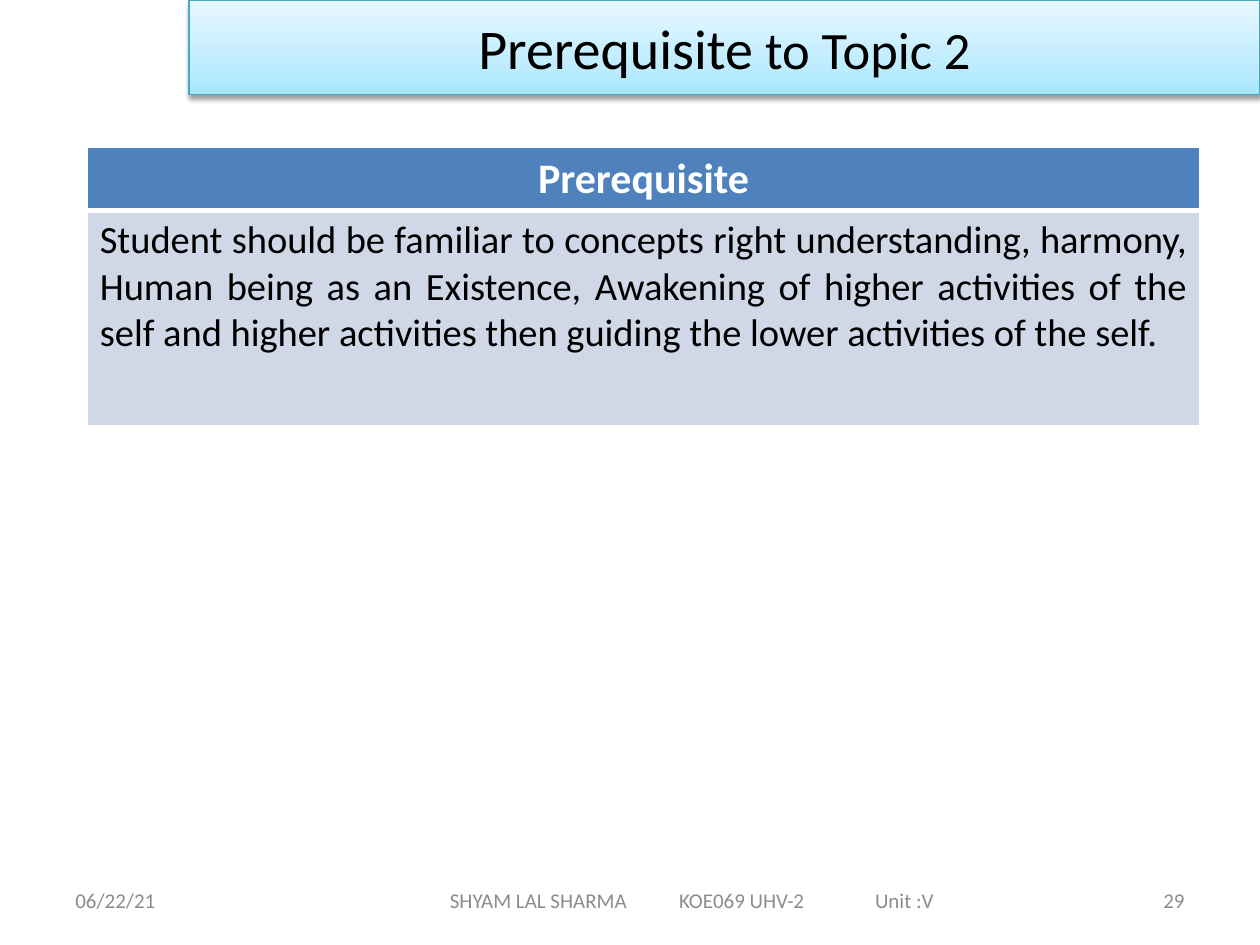
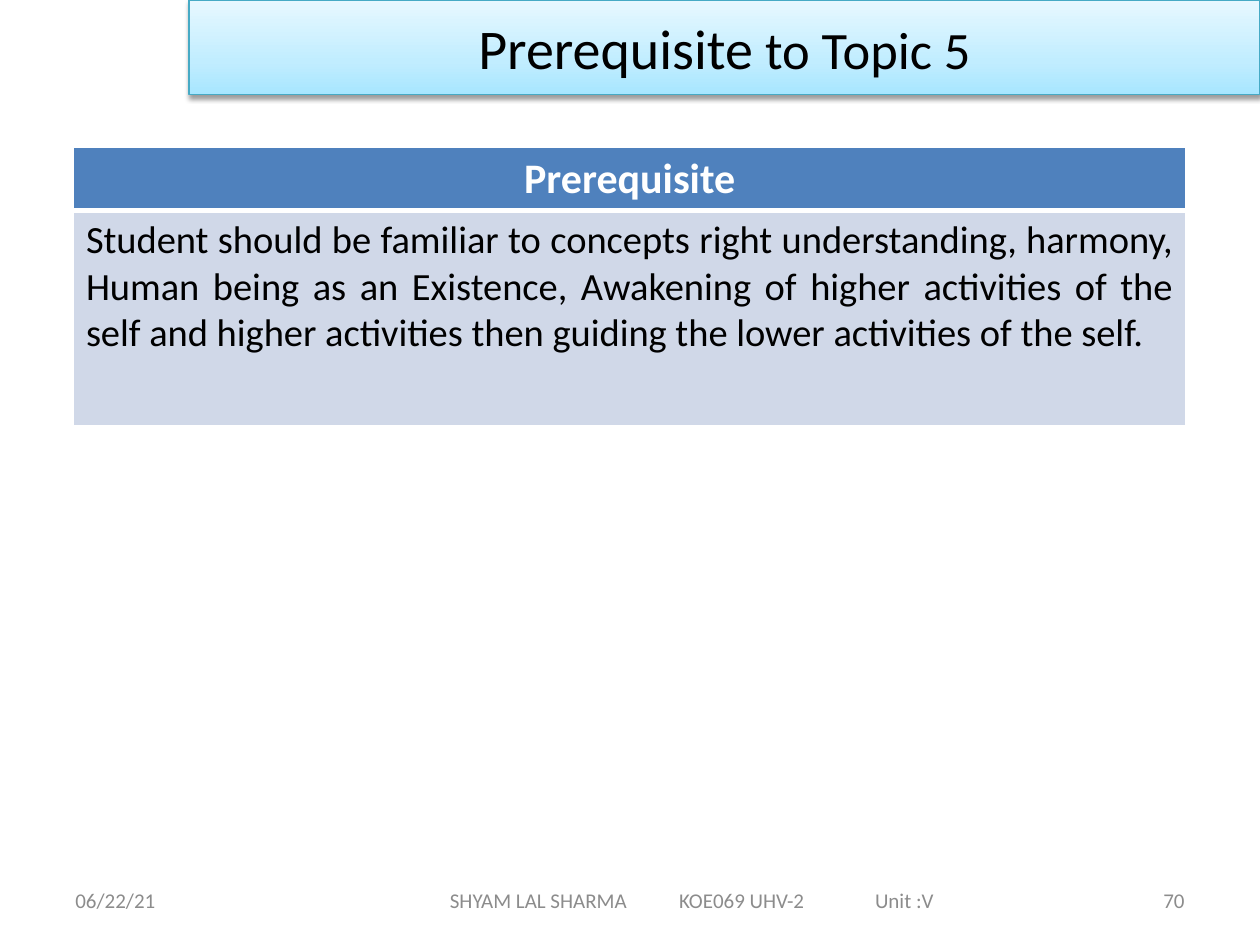
from copy import deepcopy

from pptx import Presentation
from pptx.dml.color import RGBColor
from pptx.enum.text import MSO_ANCHOR as ANCHOR, MSO_AUTO_SIZE as AUTO, PP_ALIGN as ALIGN
from pptx.oxml import parse_xml
from pptx.oxml.ns import nsdecls, qn
from pptx.util import Cm, Pt

# Shared style
FONT = "Calibri"
BLACK, WHITE, GREY = "000000", "FFFFFF", "8C8C8C"
HEADER_FILL, BODY_FILL = "4F81BD", "D0D8E8"
BAND_LINE = "46AAC5"
BAND_STOPS = [(0, "A7E6FF"), (0.35, "C1EDFF"), (1, "E7F8FF")]

# Shared wording
DATE = "06/22/21"
FOOTER = "SHYAM LAL SHARMA\tKOE069 UHV-2\tUnit :V"
FOOTER_TABS = (4.62, 8.57)
REQUIREMENT = (
    "Student should be familiar to concepts right understanding, harmony, "
    "Human being as an Existence, Awakening of higher activities of the self "
    "and higher activities then guiding the lower activities of the self."
)

# Topic number, page number, left edge of the table in cm
TOPICS = [(2, 29, 1.76), (5, 70, 1.48)]


def rgb(value):
    return RGBColor.from_string(value)


def add_run(p, text, size, color, bold=False):
    r = p.add_run()
    r.text = text
    r.font.name = FONT
    r.font.size = Pt(size)
    r.font.bold = bold
    r.font.color.rgb = rgb(color)


def place(sp, left, top, width, height):
    sp.left, sp.top, sp.width, sp.height = map(Cm, (left, top, width, height))


def fill_band(sp):
    """Three-stop vertical gradient, thin outline and soft shadow."""
    sp.fill.gradient()
    sp.fill.gradient_angle = 90
    stop_list = sp.fill.gradient_stops
    first = sp._element.spPr.find(".//" + qn("a:gs"))
    for _ in range(len(BAND_STOPS) - len(stop_list)):
        first.addnext(deepcopy(first))
    for stop, (position, color) in zip(sp.fill.gradient_stops, BAND_STOPS):
        stop.position = position
        stop.color.rgb = rgb(color)
    sp.line.color.rgb = rgb(BAND_LINE)
    sp.line.width = Pt(0.75)
    sp._element.spPr.append(parse_xml(
        f'<a:effectLst {nsdecls("a")}>'
        f'<a:outerShdw blurRad="{Pt(3.1)}" dist="{Pt(1.6)}" dir="5400000" rotWithShape="0">'
        f'<a:srgbClr val="{BLACK}"><a:alpha val="38000"/></a:srgbClr>'
        '</a:outerShdw></a:effectLst>'))


def add_title(s, topic):
    sp = s.shapes.title
    place(sp, 3.81, 0, 21.59, 1.91)
    fill_band(sp)
    tf = sp.text_frame
    tf.auto_size = AUTO.NONE
    tf.vertical_anchor = ANCHOR.MIDDLE
    p = tf.paragraphs[0]
    p.alignment = ALIGN.CENTER
    add_run(p, "Prerequisite", 32, BLACK)
    add_run(p, f" to Topic {topic}", 30, BLACK)


def add_footer_text(s, text, left, width, align=ALIGN.LEFT):
    tf = s.shapes.add_textbox(Cm(left), Cm(17.65), Cm(width), Cm(1.01)).text_frame
    tf.word_wrap = True
    tf.vertical_anchor = ANCHOR.MIDDLE
    p = tf.paragraphs[0]
    p.alignment = align
    add_run(p, text, 12, GREY)
    return tf


def add_footer(s, page):
    add_footer_text(s, DATE, 1.27, 5.93)
    tf = add_footer_text(s, FOOTER, 6.99, 13.97)
    tf.margin_left = Cm(2.08)
    stops = "".join(f'<a:tab pos="{Cm(x)}" algn="l"/>' for x in FOOTER_TABS)
    tf.paragraphs[0]._p.get_or_add_pPr().append(
        parse_xml(f'<a:tabLst {nsdecls("a")}>{stops}</a:tabLst>'))
    add_footer_text(s, str(page), 18.2, 5.93, ALIGN.RIGHT)


def set_borders(cell, top=1, bottom=1):
    tc_pr = cell._tc.get_or_add_tcPr()
    for i, (side, width) in enumerate(zip("LRTB", (1, 1, top, bottom))):
        tc_pr.insert(i, parse_xml(
            f'<a:ln{side} {nsdecls("a")} w="{Pt(width)}"><a:solidFill>'
            f'<a:srgbClr val="{WHITE}"/></a:solidFill></a:ln{side}>'))


def fill_cell(cell, text, size, color, fill, align, bold=False):
    cell.fill.solid()
    cell.fill.fore_color.rgb = rgb(fill)
    p = cell.text_frame.paragraphs[0]
    p.alignment = align
    add_run(p, text, size, color, bold)


def add_requirement_table(s, left):
    heights = (1.27, 4.34)
    table = s.shapes.add_table(
        2, 1, Cm(left), Cm(2.97), Cm(22.43), Cm(sum(heights))).table
    for row, height in zip(table.rows, heights):
        row.height = Cm(height)
    header, body = table.cell(0, 0), table.cell(1, 0)
    fill_cell(header, "Prerequisite", 24, WHITE, HEADER_FILL, ALIGN.CENTER, True)
    fill_cell(body, REQUIREMENT, 22, BLACK, BODY_FILL, ALIGN.JUSTIFY)
    set_borders(header, bottom=3)
    set_borders(body, top=3)


def main():
    prs = Presentation()
    prs.slide_width, prs.slide_height = Cm(25.4), Cm(19.05)
    title_only = prs.slide_layouts[5]
    for topic, page, table_left in TOPICS:
        s = prs.slides.add_slide(title_only)
        add_footer(s, page)
        add_title(s, topic)
        add_requirement_table(s, table_left)
    prs.save("out.pptx")


if __name__ == "__main__":
    main()
